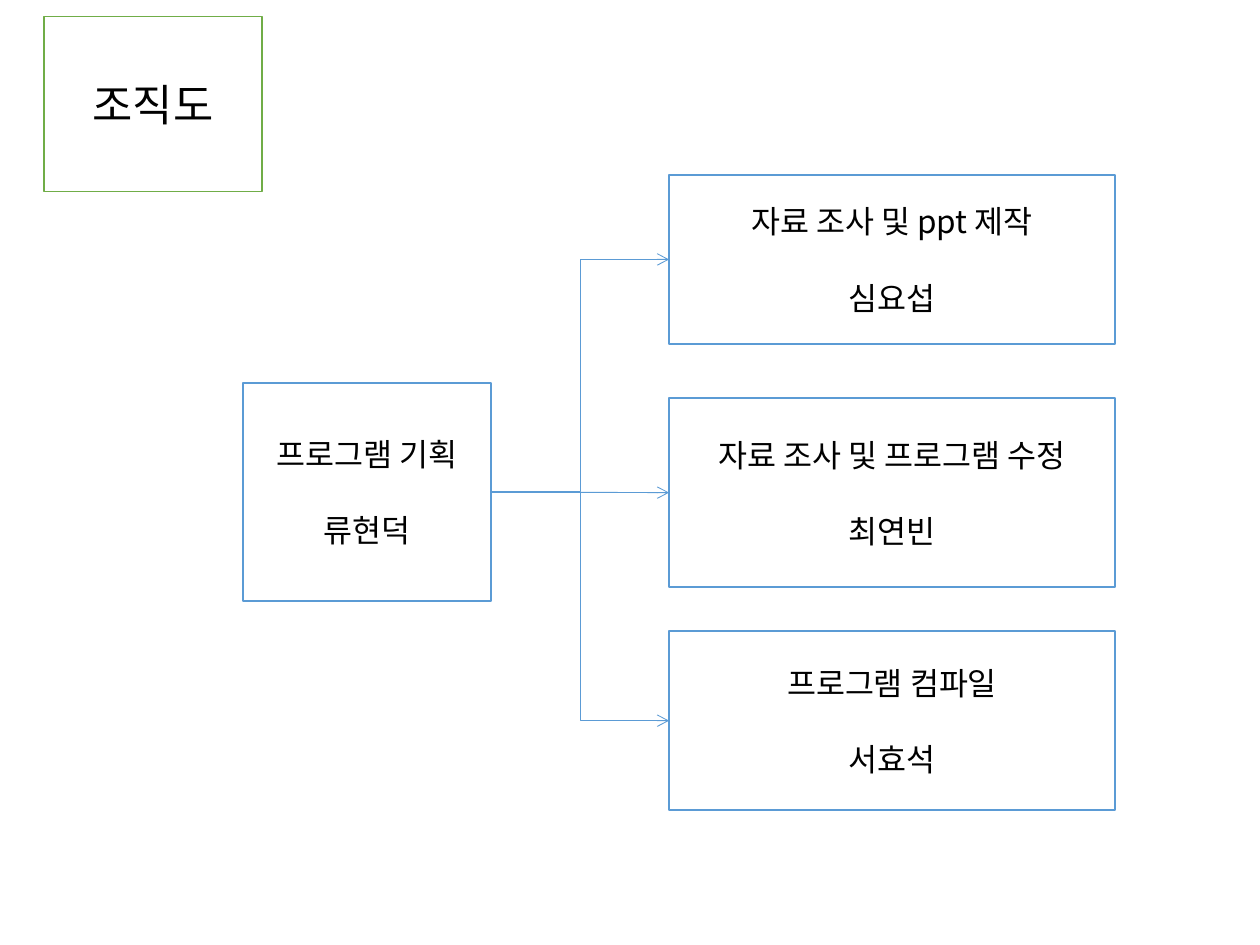
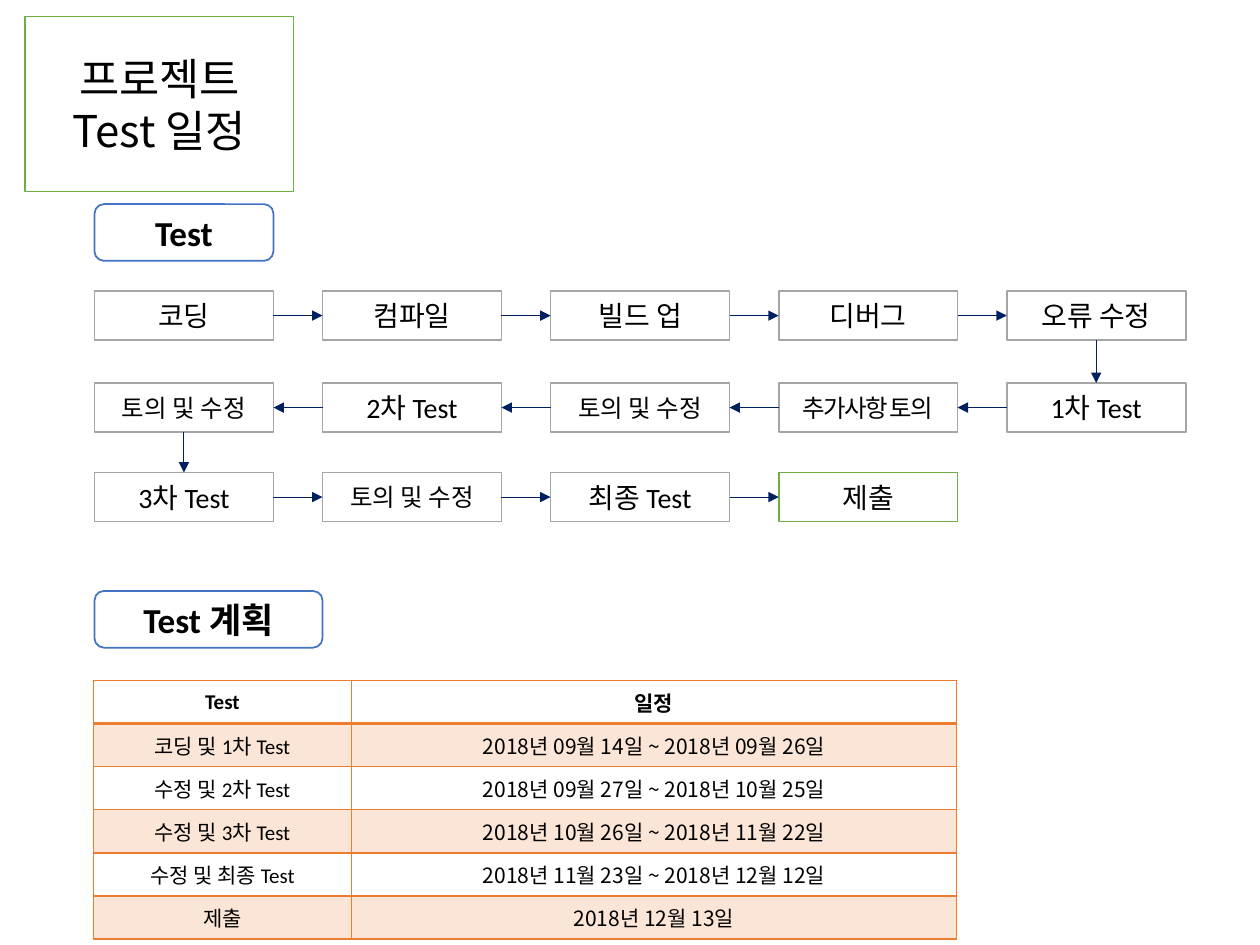
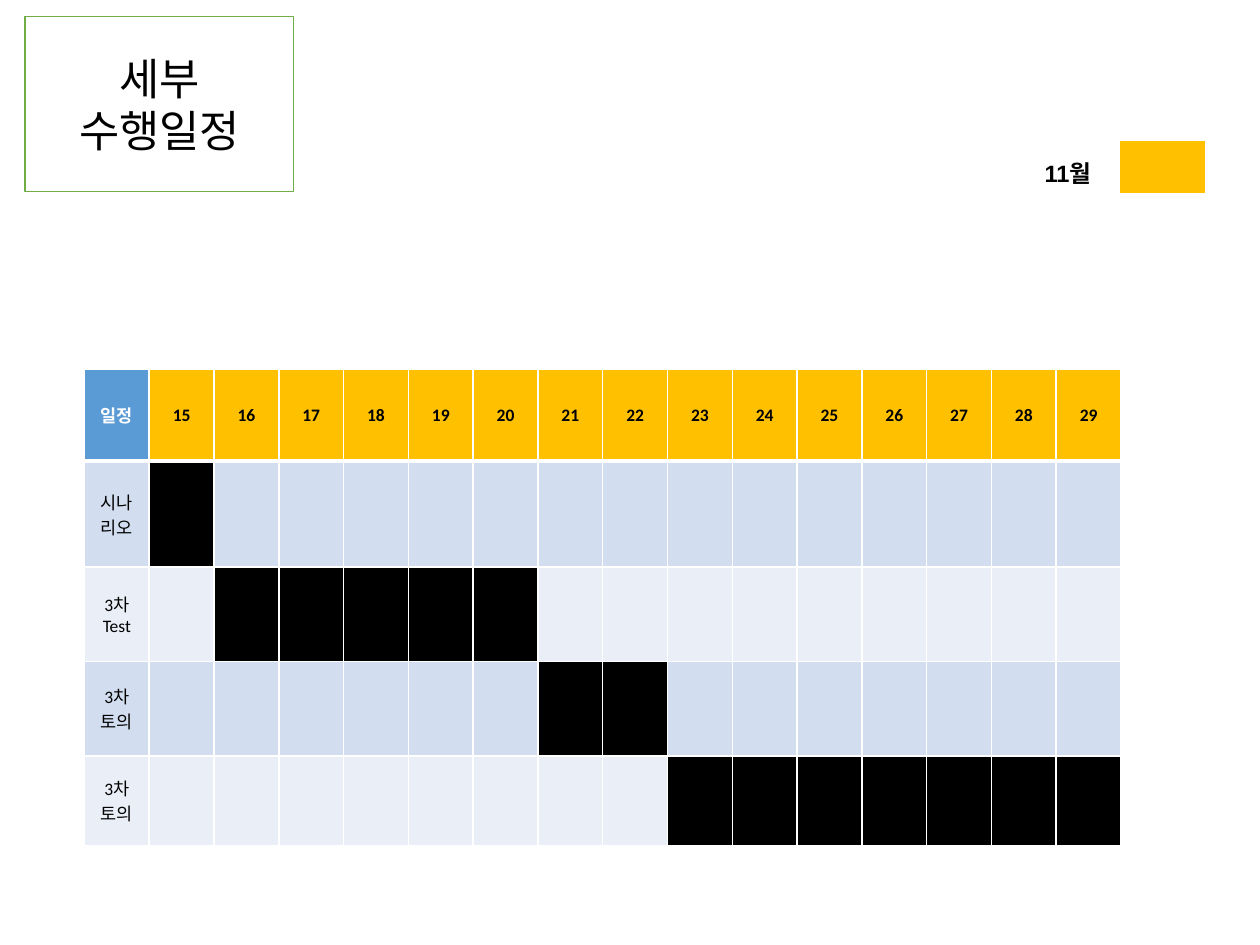
from dataclasses import dataclass
from itertools import pairwise

from lxml.etree import SubElement
from pptx import Presentation
from pptx.dml.color import RGBColor
from pptx.enum.shapes import MSO_CONNECTOR as CONN, MSO_SHAPE as SHAPE
from pptx.enum.text import MSO_ANCHOR as ANCHOR, MSO_AUTO_SIZE as AUTO, PP_ALIGN as ALIGN
from pptx.oxml.ns import qn
from pptx.util import Inches, Pt


@dataclass(frozen=True)
class Theme:
    black: str = "000000"
    white: str = "FFFFFF"
    green: str = "70AD47"
    blue: str = "5B9BD5"
    heading: str = "4472C4"
    gray: str = "A5A5A5"
    navy: str = "002060"
    orange: str = "ED7D31"
    peach: str = "FBE5D6"
    gold: str = "FFC000"
    bands: tuple = ("D2DEEF", "EAEFF7")
    korean: str = "Noto Sans CJK KR"
    latin: str = "Calibri"
    legend: str = "Arial"
    title_size: float = 25
    heading_size: float = 20
    role_size: float = 18
    step_size: float = 16
    small_step: float = 14
    legend_size: float = 13.5
    table_size: float = 12
    gantt_size: float = 10


T = Theme()
TOP, LEFT, BOTTOM, RIGHT = range(4)


# --- Text, fills and lines ---
def rgb(color):
    return RGBColor.from_string(color)


def write(tf, text, size, font=T.latin, color=T.black, bold=False, align=ALIGN.CENTER, gap=0, tracking=0):
    """Fill a text frame, one paragraph per line; gap is the space between them."""
    tf.word_wrap = True
    for i, line in enumerate(text.split("\n")):
        p = tf.paragraphs[0] if i == 0 else tf.add_paragraph()
        p.text, p.alignment = line, align
        if i:
            p.space_before = Pt(gap)
        f = p.font
        f.size, f.bold, f.name = Pt(size), bold, font
        f.color.rgb = rgb(color)
        SubElement(f._element, qn("a:ea"), typeface=T.korean)
        if tracking:
            f._element.set("spc", str(tracking * 100))


def outline(sp, color):
    sp.fill.solid()
    sp.fill.fore_color.rgb = rgb(T.white)
    sp.line.color.rgb = rgb(color)
    sp.line.width = Pt(1)


def box(s, at, text, line, size, kind=SHAPE.RECTANGLE, **style):
    sp = s.shapes.add_shape(kind, *map(Inches, at))
    sp.shadow.inherit = False
    outline(sp, line)
    sp.text_frame.vertical_anchor = ANCHOR.MIDDLE
    write(sp.text_frame, text, size, **style)
    return sp


def arrow(s, start, start_side, end, end_side, color, head, kind=CONN.STRAIGHT):
    c = s.shapes.add_connector(kind, 0, 0, 0, 0)
    c.begin_connect(start, start_side)
    c.end_connect(end, end_side)
    c.line.color.rgb = rgb(color)
    c.line.width = Pt(0.5)
    SubElement(c.line._get_or_add_ln(), qn("a:tailEnd"), type=head)
    SubElement(c._element.spPr, qn("a:effectLst"))


def titled_slide(prs, text, left=0.2, width=2.13):
    """Add a slide whose title sits in a rounded green frame."""
    s = prs.slides.add_slide(prs.slide_layouts[5])
    sp = s.shapes.title
    sp.left, sp.top, sp.width, sp.height = map(Inches, (left, 0.13, width, 1.39))
    geom = SubElement(sp._element.spPr, qn("a:prstGeom"), prst="roundRect")
    SubElement(geom, qn("a:avLst"))
    outline(sp, T.green)
    sp.text_frame.auto_size = AUTO.NONE
    sp.text_frame.vertical_anchor = ANCHOR.MIDDLE
    write(sp.text_frame, text, T.title_size, font=T.korean)
    return s


# --- Tables ---
def table(s, left, top, cols, rows):
    shape = s.shapes.add_table(len(rows), len(cols), Inches(left), Inches(top),
                               Inches(sum(cols)), Inches(sum(rows)))
    tbl = shape.table
    tbl.first_row = tbl.horz_banding = False
    for col, width in zip(tbl.columns, cols):
        col.width = Inches(width)
    for row, height in zip(tbl.rows, rows):
        row.height = Inches(height)
    return tbl


def cell(tbl, row, col, fill, border, text="", size=T.table_size, bottom=1, top=1,
         anchor=ANCHOR.MIDDLE, **style):
    c = tbl.cell(row, col)
    c.vertical_anchor = anchor
    if text:
        write(c.text_frame, text, size, **style)
    pr = c._tc.get_or_add_tcPr()
    for side, width in (("L", 1), ("R", 1), ("T", top), ("B", bottom)):
        ln = SubElement(pr, qn(f"a:ln{side}"), w=str(Pt(width)))
        SubElement(SubElement(ln, qn("a:solidFill")), qn("a:srgbClr"), val=border)
    c.fill.solid()
    c.fill.fore_color.rgb = rgb(fill)


# --- Slides ---
def organisation(prs):
    s = titled_slide(prs, "조직도", 0.35, 1.73)
    role = dict(line=T.blue, size=T.role_size, font=T.korean, gap=22)
    planner = box(s, (1.93, 3.04, 1.97, 1.73), "프로그램 기획\n류현덕", **role)
    members = ((1.39, 1.34, "자료 조사 및 ppt 제작\n심요섭", CONN.ELBOW),
               (3.16, 1.5, "자료 조사 및 프로그램 수정\n최연빈", CONN.STRAIGHT),
               (5.01, 1.42, "프로그램 컴파일\n서효석", CONN.ELBOW))
    for top, height, text, kind in members:
        member = box(s, (5.31, top, 3.54, height), text, **role)
        arrow(s, planner, RIGHT, member, LEFT, T.blue, "arrow", kind)


def test_schedule(prs):
    s = titled_slide(prs, "프로젝트\nTest 일정")
    left, pitch, width = 0.75, 1.81, 1.42
    for top, w, text in ((1.62, width, "Test"), (4.69, pitch, "Test 계획")):
        box(s, (left, top, w, 0.45), text, T.heading, T.heading_size,
            SHAPE.ROUNDED_RECTANGLE, bold=True)

    # The steps run to the right, back to the left, then to the right again
    flow = ((2.31, ("코딩", "컴파일", "빌드 업", "디버그", "오류 수정")),
            (3.04, ("1차 Test", "추가사항 토의", "토의 및 수정", "2차 Test", "토의 및 수정")),
            (3.75, ("3차 Test", "토의 및 수정", "최종 Test", "제출")))
    steps = []
    for row, (top, names) in enumerate(flow):
        for i, name in enumerate(names):
            col = 4 - i if row == 1 else i
            sp = box(s, (left + col * pitch, top, width, 0.39), name,
                     T.green if name == "제출" else T.gray,
                     T.small_step if "토의" in name else T.step_size,
                     tracking=-1 if name == "추가사항 토의" else 0)
            steps.append((row, sp))
    for (row, a), (next_row, b) in pairwise(steps):
        if row != next_row:
            sides = BOTTOM, TOP
        else:
            sides = (LEFT, RIGHT) if row == 1 else (RIGHT, LEFT)
        arrow(s, a, sides[0], b, sides[1], T.navy, "triangle")

    # Plan table
    plan = (("Test", "일정"),
            ("코딩 및 1차 Test", "2018년 09월 14일 ~ 2018년 09월 26일"),
            ("수정 및 2차 Test", "2018년 09월 27일 ~ 2018년 10월 25일"),
            ("수정 및 3차 Test", "2018년 10월 26일 ~ 2018년 11월 22일"),
            ("수정 및 최종 Test", "2018년 11월 23일 ~ 2018년 12월 12일"),
            ("제출", "2018년 12월 13일"))
    tbl = table(s, 0.74, 5.4, (2.05, 4.8), [0.34] * len(plan))
    for r, texts in enumerate(plan):
        for c, text in enumerate(texts):
            cell(tbl, r, c, T.peach if r % 2 else T.white, T.orange, text,
                 bold=r == 0, font=T.korean if r and c else T.latin,
                 bottom=2 if r == 0 else 1, top=2 if r == 1 else 1)


def detailed_schedule(prs):
    s = titled_slide(prs, "세부\n수행일정")

    # Month legend
    legend = table(s, 8.19, 1.11, (0.69, 0.69), (0.44,))
    cell(legend, 0, 0, T.white, T.white, "11월", T.legend_size, bottom=3, font=T.legend,
         bold=True, align=ALIGN.LEFT, anchor=ANCHOR.BOTTOM)
    cell(legend, 0, 1, T.gold, T.white, bottom=3)

    # Day chart: each task has its first and last day
    days = range(15, 30)
    tasks = (("시나리오", 15, 15), ("3차 Test", 16, 20), ("3차\n토의", 21, 22), ("3차\n토의", 23, 29))
    tbl = table(s, 0.67, 2.93, [8.23 / 16] * 16, (0.73, 0.84, 0.75, 0.75, 0.71))
    head = dict(border=T.white, size=T.gantt_size, bold=True, bottom=3)
    cell(tbl, 0, 0, T.blue, text="일정", color=T.white, **head)
    for c, day in enumerate(days, 1):
        cell(tbl, 0, c, T.gold, text=str(day), **head)
    for r, (name, first, last) in enumerate(tasks, 1):
        band = T.bands[(r - 1) % 2]
        top = 3 if r == 1 else 1
        cell(tbl, r, 0, band, T.white, name, T.gantt_size, top=top)
        for c, day in enumerate(days, 1):
            cell(tbl, r, c, T.black if first <= day <= last else band, T.white, top=top)


def main():
    prs = Presentation()
    prs.slide_width, prs.slide_height = Inches(10), Inches(7.5)
    organisation(prs)
    test_schedule(prs)
    detailed_schedule(prs)
    prs.save("out.pptx")


if __name__ == "__main__":
    main()
